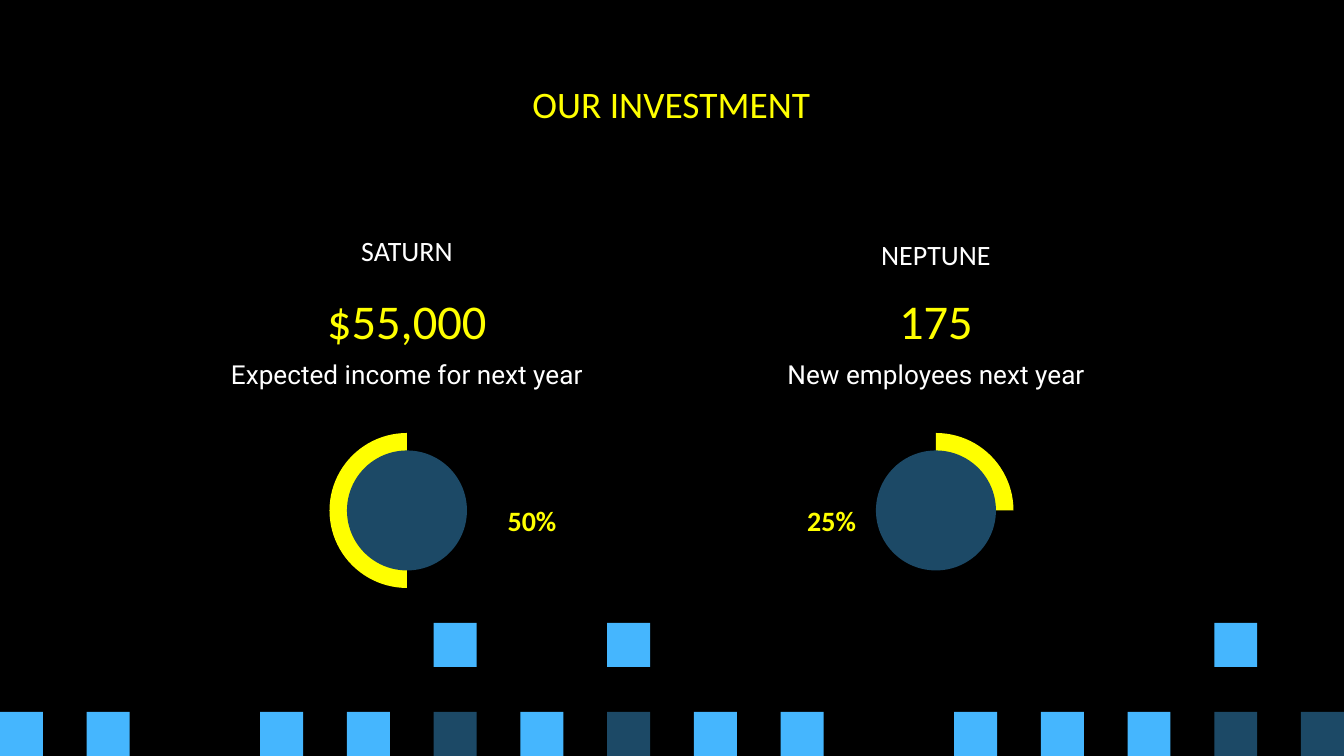
from pptx import Presentation
from pptx.dml.color import RGBColor
from pptx.enum.shapes import MSO_SHAPE
from pptx.enum.text import MSO_ANCHOR, PP_ALIGN
from pptx.util import Emu, Pt

WIDTH, HEIGHT = 1344, 756
SCALE = 9144000 / WIDTH
BLACK, WHITE, YELLOW = "000000", "FFFFFF", "FFFF00"
SKY, NAVY = "45B6FE", "1C4966"


def px(length):
    return Emu(round(length * SCALE))


def color(hex_string):
    return RGBColor.from_string(hex_string)


def add_filled(slide, kind, left, top, width, height, fill):
    shape = slide.shapes.add_shape(kind, px(left), px(top), px(width), px(height))
    shape.shadow.inherit = False
    shape.fill.solid()
    shape.fill.fore_color.rgb = color(fill)
    shape.line.fill.background()
    return shape


def write(shape, text, size, fill, font="Calibri", bold=False,
          align=PP_ALIGN.CENTER, anchor=MSO_ANCHOR.TOP):
    frame = shape.text_frame
    frame.word_wrap = True
    frame.vertical_anchor = anchor
    frame.margin_left = frame.margin_right = px(13)
    frame.margin_top = frame.margin_bottom = px(13)
    frame.text = text
    paragraph = frame.paragraphs[0]
    paragraph.alignment = align
    paragraph.font.name = font
    paragraph.font.size = Pt(size)
    paragraph.font.bold = bold
    paragraph.font.color.rgb = color(fill)
    return paragraph


def add_text(slide, left, top, width, height, text, size, fill, **style):
    box = slide.shapes.add_textbox(px(left), px(top), px(width), px(height))
    return write(box, text, size, fill, **style)


def add_skyline(slide, left, top, width, height):
    side, last_column = 43, 15
    pitch = (width - side) / last_column
    lower_top = top + height - 44
    for column in range(last_column + 1):
        if column in (2, 10):
            continue
        fill = NAVY if column in (5, 7, 14, 15) else SKY
        add_filled(slide, MSO_SHAPE.RECTANGLE, left + column * pitch, lower_top, side, 44, fill)
    for column in (5, 7, 14):
        add_filled(slide, MSO_SHAPE.RECTANGLE, left + column * pitch, top, side, 44, SKY)


def add_title(slide, left, top, width, height):
    title = slide.shapes.title
    title.left, title.top = px(left), px(top)
    title.width, title.height = px(width), px(height)
    write(title, "OUR INVESTMENT", 20, YELLOW, anchor=MSO_ANCHOR.MIDDLE)


def add_ring(slide, left, top, size, start, end):
    pie = add_filled(slide, MSO_SHAPE.PIE, left, top, size, size, YELLOW)
    for index, degrees in enumerate((start, end)):
        pie.adjustments[index] = degrees * 0.6
    inset = 17.5
    inner = size - 2 * inset
    add_filled(slide, MSO_SHAPE.OVAL, left + inset, top + inset, inner, inner, NAVY)


def add_planet(slide, left, top, width, planet):
    name, name_top, figure, caption, percent, percent_left, align, start, end = planet
    heading = add_text(slide, left + 73, top + name_top, width - 146, 56, name, 15, WHITE)
    heading.line_spacing = 1.15
    add_text(slide, left + 20, top + 80, width - 40, 48, figure, 26, YELLOW,
             anchor=MSO_ANCHOR.MIDDLE)
    add_text(slide, left, top + 129, width, 65, caption, 14, WHITE, font="Roboto")
    ring_size = 155
    add_ring(slide, left + (width - ring_size) / 2, top + 217, ring_size, start, end)
    add_text(slide, left + percent_left, top + 288, 124, 32, percent, 15, YELLOW,
             bold=True, align=align, anchor=MSO_ANCHOR.MIDDLE)


def main():
    presentation = Presentation()
    presentation.slide_width, presentation.slide_height = px(WIDTH), px(HEIGHT)
    slide = presentation.slides.add_slide(presentation.slide_layouts[5])
    slide.background.fill.solid()
    slide.background.fill.fore_color.rgb = color(BLACK)
    add_skyline(slide, 0, 623, WIDTH, HEIGHT - 623)
    add_title(slide, 105, 80, 1133, 48)
    planets = (
        ("SATURN", 0, "$55,000", "Expected income for next year",
         "50%", 285, PP_ALIGN.CENTER, 90, 270),
        ("NEPTUNE", 4, "175", "New employees next year",
         "25%", 31, PP_ALIGN.RIGHT, 270, 0),
    )
    for left, planet in zip((185, 714), planets):
        add_planet(slide, left, 216, 444, planet)
    presentation.save("out.pptx")


if __name__ == "__main__":
    main()
